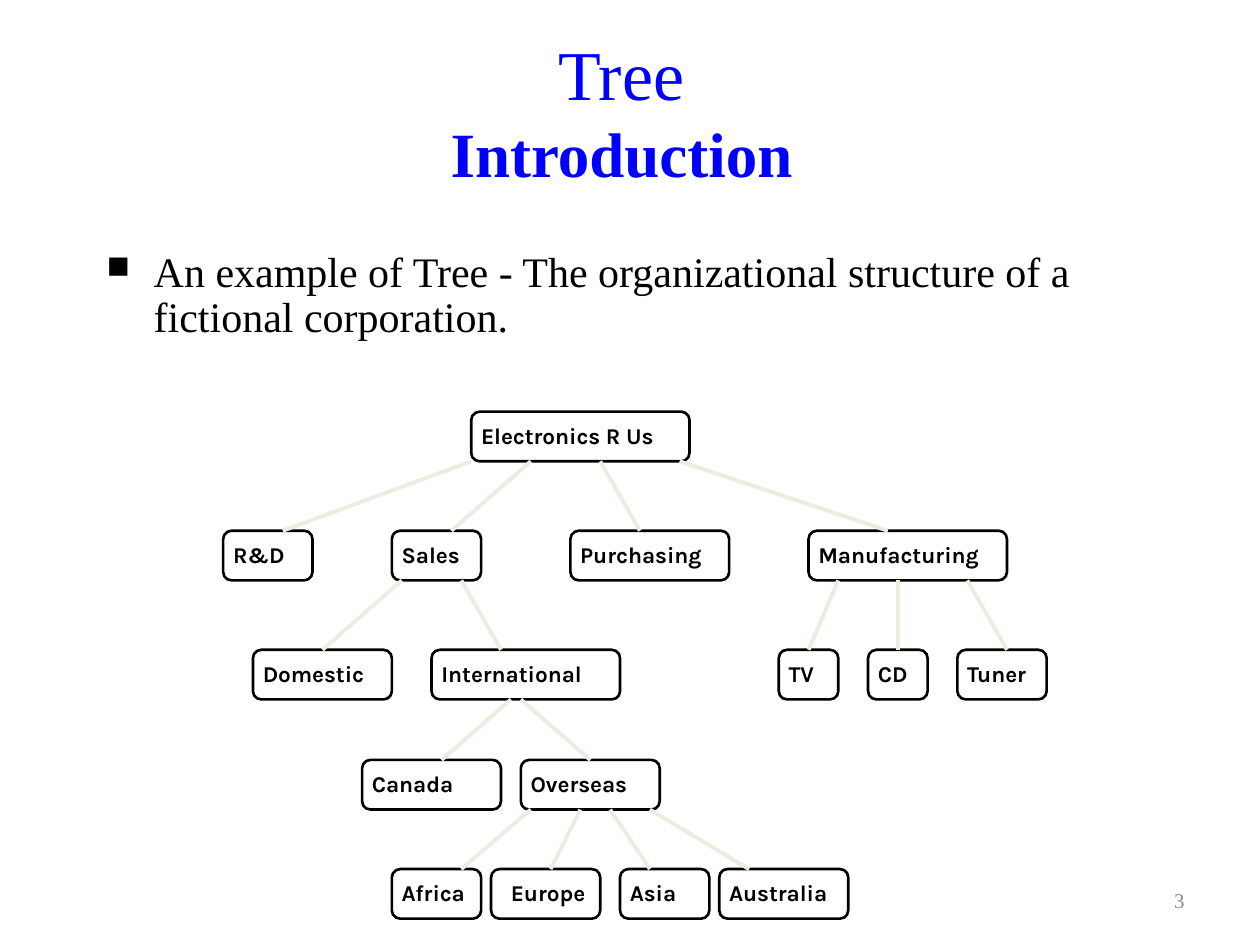
from dataclasses import dataclass

from lxml.etree import SubElement
from pptx import Presentation
from pptx.dml.color import RGBColor
from pptx.enum.shapes import MSO_CONNECTOR, MSO_SHAPE
from pptx.enum.text import MSO_ANCHOR, PP_ALIGN
from pptx.oxml.ns import qn
from pptx.slide import Slide
from pptx.text.text import TextFrame
from pptx.util import Cm, Pt

SERIF = "Times New Roman"
SANS = "Karla"
BLACK = "000000"
BLUE = "0000FF"
GREY = "8C8C8C"
BRANCH = "EEECE1"

NODE_HEIGHT = 1.0
LEVEL_TOPS = [8.3, 10.7, 13.1, 15.32, 17.52]


@dataclass
class Node:
    label: str
    left: float
    width: float
    indent: float = 0.15


@dataclass
class Branch:
    parent_level: int
    start: float
    end: float


LEVELS = [
    [Node("Electronics R Us", 9.5, 4.4)],
    [
        Node("R&D", 4.5, 1.8),
        Node("Sales", 7.9, 1.8),
        Node("Purchasing", 11.5, 3.2),
        Node("Manufacturing", 16.3, 4.0),
    ],
    [
        Node("Domestic", 5.1, 2.8),
        Node("International", 8.7, 3.8),
        Node("TV", 15.7, 1.2),
        Node("CD", 17.5, 1.2),
        Node("Tuner", 19.3, 1.8),
    ],
    [Node("Canada", 7.3, 2.8), Node("Overseas", 10.5, 2.8)],
    [
        Node("Africa", 7.9, 1.8),
        Node("Europe", 9.9, 2.2, 0.35),
        Node("Asia", 12.5, 1.8),
        Node("Australia", 14.5, 2.6),
    ],
]

BRANCHES = [
    Branch(0, 9.5, 5.7),
    Branch(0, 10.7, 9.1),
    Branch(0, 12.1, 12.9),
    Branch(0, 13.7, 17.9),
    Branch(1, 8.1, 6.5),
    Branch(1, 9.3, 10.1),
    Branch(1, 16.9, 16.3),
    Branch(1, 18.1, 18.1),
    Branch(1, 19.5, 20.3),
    Branch(2, 10.3, 8.9),
    Branch(2, 10.5, 11.9),
    Branch(3, 10.7, 9.3),
    Branch(3, 11.7, 11.1),
    Branch(3, 12.3, 13.1),
    Branch(3, 13.1, 15.1),
]


def color(value: str) -> RGBColor:
    return RGBColor.from_string(value)


def add_run(paragraph, text: str, size: float, font: str, fill: str, bold: bool = False) -> None:
    run = paragraph.add_run()
    run.text = text
    run.font.size = Pt(size)
    run.font.name = font
    run.font.bold = bold
    run.font.color.rgb = color(fill)


def add_text_box(slide: Slide, left: float, top: float, width: float, height: float,
                 anchor: MSO_ANCHOR) -> TextFrame:
    text_frame = slide.shapes.add_textbox(Cm(left), Cm(top), Cm(width), Cm(height)).text_frame
    text_frame.word_wrap = True
    text_frame.vertical_anchor = anchor
    return text_frame


def add_title(slide: Slide) -> None:
    paragraph = add_text_box(slide, 1.1, 0.45, 22.86, 3.53, MSO_ANCHOR.MIDDLE).paragraphs[0]
    paragraph.alignment = PP_ALIGN.CENTER
    add_run(paragraph, "Tree", 40, SERIF, BLUE)
    paragraph.add_line_break()
    add_run(paragraph, "Introduction", 36, SERIF, BLUE, bold=True)


def add_statement(slide: Slide) -> None:
    paragraph = add_text_box(slide, 1.9, 4.93, 22.58, 2.2, MSO_ANCHOR.TOP).paragraphs[0]
    paragraph.line_spacing = 0.9
    paragraph.space_before = Pt(4.8)
    properties = paragraph._p.get_or_add_pPr()
    properties.set("marL", str(Cm(0.95)))
    properties.set("indent", str(Cm(-0.95)))
    bullet_color = SubElement(properties, qn("a:buClr"))
    SubElement(bullet_color, qn("a:srgbClr"), val=BLACK)
    SubElement(properties, qn("a:buSzPct"), val="75000")
    SubElement(properties, qn("a:buChar"), char="■")
    add_run(paragraph, "An example of Tree - The organizational structure of a fictional corporation.",
            24, SERIF, BLACK)


def add_node(slide: Slide, node: Node, top: float) -> None:
    shape = slide.shapes.add_shape(MSO_SHAPE.ROUNDED_RECTANGLE, Cm(node.left), Cm(top),
                                   Cm(node.width), Cm(NODE_HEIGHT))
    shape.shadow.inherit = False
    shape.adjustments[0] = 0.167
    shape.fill.background()
    shape.line.color.rgb = color(BLACK)
    shape.line.width = Pt(1.5)
    text_frame = shape.text_frame
    text_frame.word_wrap = True
    text_frame.vertical_anchor = MSO_ANCHOR.TOP
    text_frame.margin_left = Cm(node.indent)
    text_frame.margin_top = Cm(0.15)
    text_frame.margin_right = text_frame.margin_bottom = 0
    paragraph = text_frame.paragraphs[0]
    paragraph.alignment = PP_ALIGN.LEFT
    add_run(paragraph, node.label, 12.9, SANS, BLACK, bold=True)


def add_branch(slide: Slide, branch: Branch) -> None:
    connector = slide.shapes.add_connector(
        MSO_CONNECTOR.STRAIGHT,
        Cm(branch.start), Cm(LEVEL_TOPS[branch.parent_level] + NODE_HEIGHT),
        Cm(branch.end), Cm(LEVEL_TOPS[branch.parent_level + 1]),
    )
    connector.line.color.rgb = color(BRANCH)
    connector.line.width = Pt(2.25)
    SubElement(connector._element.spPr, qn("a:effectLst"))


def add_slide_number(slide: Slide) -> None:
    paragraph = add_text_box(slide, 18.2, 17.65, 5.93, 1.01, MSO_ANCHOR.MIDDLE).paragraphs[0]
    paragraph.alignment = PP_ALIGN.RIGHT
    add_run(paragraph, "3", 12, SERIF, GREY)


def main() -> None:
    presentation = Presentation()
    presentation.slide_width = Cm(25.4)
    presentation.slide_height = Cm(19.05)
    slide = presentation.slides.add_slide(presentation.slide_layouts[6])
    add_title(slide)
    add_statement(slide)
    for top, nodes in zip(LEVEL_TOPS, LEVELS):
        for node in nodes:
            add_node(slide, node, top)
    for branch in BRANCHES:
        add_branch(slide, branch)
    add_slide_number(slide)
    presentation.save("out.pptx")


if __name__ == "__main__":
    main()
